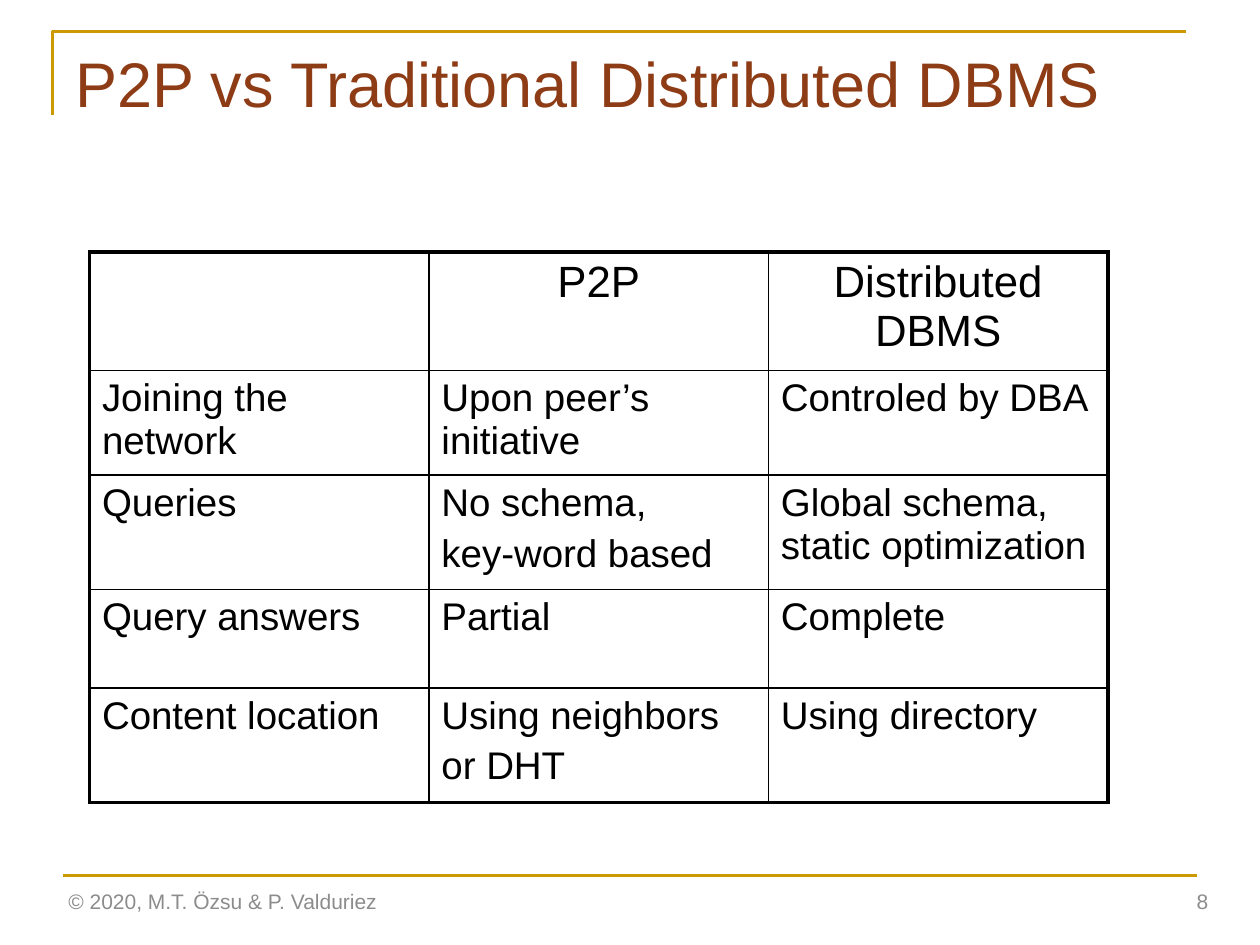
from lxml import etree
from pptx import Presentation
from pptx.dml.color import RGBColor
from pptx.enum.shapes import MSO_CONNECTOR
from pptx.enum.text import MSO_ANCHOR, MSO_AUTO_SIZE, PP_ALIGN
from pptx.oxml import parse_xml
from pptx.oxml.ns import nsdecls, qn
from pptx.util import Pt

LEFT, CENTER, RIGHT = PP_ALIGN.LEFT, PP_ALIGN.CENTER, PP_ALIGN.RIGHT
TOP, MIDDLE = MSO_ANCHOR.TOP, MSO_ANCHOR.MIDDLE
NO_AUTOFIT = MSO_AUTO_SIZE.NONE
STRAIGHT = MSO_CONNECTOR.STRAIGHT

GOLD = RGBColor(0xCC, 0x99, 0x00)
BROWN = RGBColor(0x8D, 0x3C, 0x15)
GRAY = RGBColor(0x8C, 0x8C, 0x8C)
BLACK = RGBColor(0x00, 0x00, 0x00)

COMPARISON = [
    ["", "P2P", "Distributed DBMS"],
    ["Joining the network", "Upon peer’s initiative", "Controled by DBA"],
    ["Queries", "No schema,\nkey-word based", "Global schema, static optimization"],
    ["Query answers", "Partial", "Complete"],
    ["Content location", "Using neighbors\nor DHT", "Using directory"],
]
ROW_HEIGHTS = [67.7, 59.8, 65.5, 56.2, 65.5]


class SlideBuilder:
    """Draws styled elements on the current slide."""

    font_name = "Arial"
    rule_width = 1.5
    outer_border = 2.25
    inner_border = 1

    def __init__(self, slide):
        self.slide = slide

    def set_text(self, frame, text, size, color, align=LEFT):
        frame.text = text
        for index, paragraph in enumerate(frame.paragraphs):
            paragraph.alignment = align
            if index:
                paragraph.space_before = Pt(0.2 * size)
            font = paragraph.font
            font.name = self.font_name
            font.size = Pt(size)
            font.color.rgb = color

    def title(self, text, left, top, width, height):
        heading = self.slide.shapes.title
        heading.left, heading.top = Pt(left), Pt(top)
        heading.width, heading.height = Pt(width), Pt(height)
        frame = heading.text_frame
        frame.auto_size = NO_AUTOFIT
        frame.vertical_anchor = TOP
        self.set_text(frame, text, 36, BROWN)

    def label(self, text, left, top, width, height, align=LEFT):
        frame = self.slide.shapes.add_textbox(
            Pt(left), Pt(top), Pt(width), Pt(height)).text_frame
        frame.word_wrap = True
        frame.vertical_anchor = MIDDLE
        self.set_text(frame, text, 12, GRAY, align)

    def rule(self, left, right, y):
        line = self.slide.shapes.add_connector(
            STRAIGHT, Pt(left), Pt(y), Pt(right), Pt(y))
        self.stroke(line)
        etree.SubElement(line._element.spPr, qn("a:effectLst"))

    def corner(self, left, top, right, bottom):
        outline = self.slide.shapes.build_freeform(Pt(left), Pt(bottom))
        outline.add_line_segments(
            [(Pt(left), Pt(top)), (Pt(right), Pt(top))], close=False)
        bracket = outline.convert_to_shape()
        bracket.shadow.inherit = False
        bracket.fill.background()
        self.stroke(bracket)

    def stroke(self, shape):
        shape.line.color.rgb = GOLD
        shape.line.width = Pt(self.rule_width)

    def borders(self, cell, outer_sides):
        properties = cell._tc.get_or_add_tcPr()
        for position, (side, is_outer) in enumerate(outer_sides.items()):
            width = Pt(self.outer_border if is_outer else self.inner_border)
            properties.insert(position, parse_xml(
                f'<a:ln{side} {nsdecls("a")} w="{width}"><a:solidFill>'
                f'<a:srgbClr val="{BLACK}"/></a:solidFill></a:ln{side}>'))

    def table(self, rows, heights, left, top, width):
        column_count = len(rows[0])
        grid = self.slide.shapes.add_table(
            len(rows), column_count, Pt(left), Pt(top),
            Pt(width), Pt(sum(heights))).table
        grid.first_row = grid.horz_banding = False
        for column in grid.columns:
            column.width = Pt(width / column_count)
        for r, (texts, height) in enumerate(zip(rows, heights)):
            grid.rows[r].height = Pt(height)
            size, align = (22, LEFT) if r else (25, CENTER)
            for c, text in enumerate(texts):
                cell = grid.cell(r, c)
                cell.fill.background()
                self.set_text(cell.text_frame, text, size, BLACK, align)
                self.borders(cell, {
                    "L": c == 0, "R": c == column_count - 1,
                    "T": r == 0, "B": r == len(rows) - 1})


def main():
    deck = Presentation()
    deck.slide_width, deck.slide_height = Pt(720), Pt(540)
    builder = SlideBuilder(deck.slides.add_slide(deck.slide_layouts[5]))
    builder.corner(30, 18, 678, 66)
    builder.rule(36, 684, 500.4)
    builder.title("P2P vs Traditional Distributed DBMS", 36, 21.6, 648, 90)
    builder.table(COMPARISON, ROW_HEIGHTS, 51.1, 144, 582)
    builder.label("© 2020, M.T. Özsu & P. Valduriez", 32, 500.5, 243, 28.8)
    builder.label("8", 535.5, 500.5, 162, 28.8, RIGHT)
    deck.save("out.pptx")


if __name__ == "__main__":
    main()
